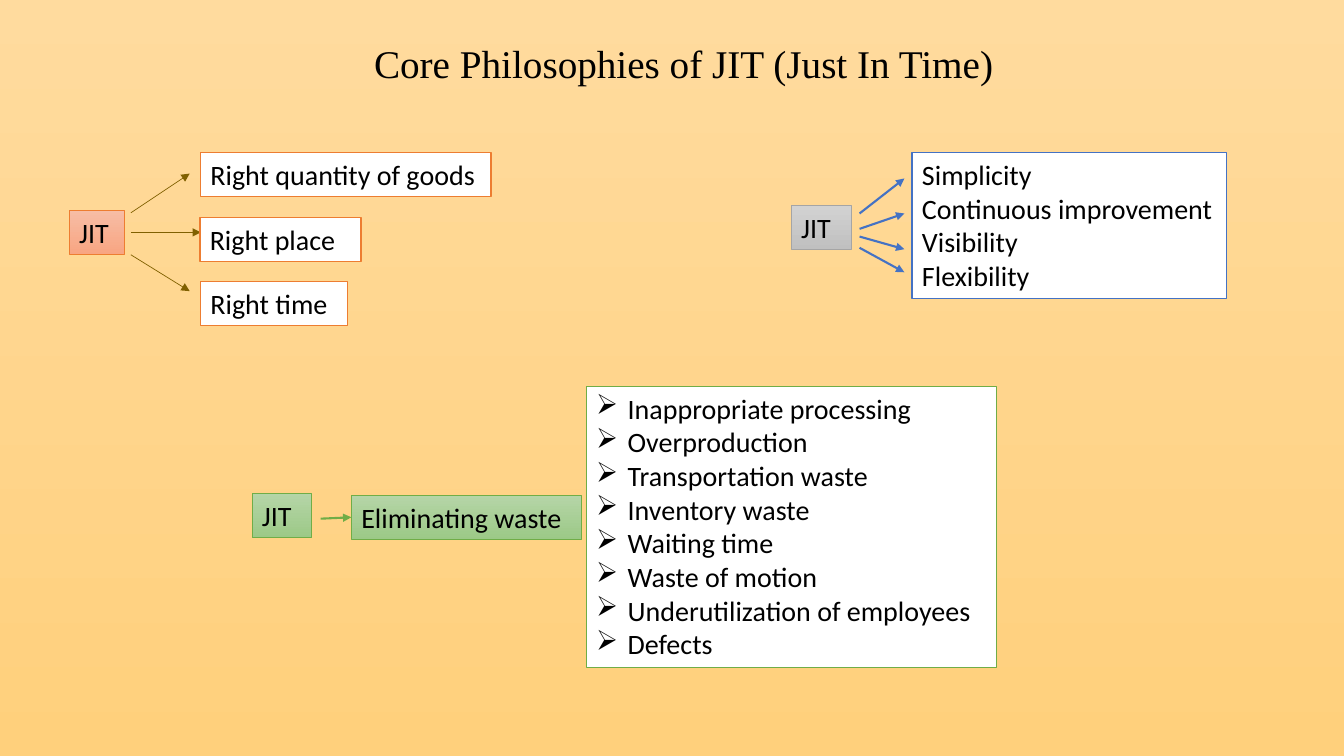
from pptx import Presentation
from pptx.dml.color import RGBColor
from pptx.enum.shapes import MSO_CONNECTOR
from pptx.enum.text import MSO_ANCHOR, PP_ALIGN
from pptx.oxml.ns import qn
from pptx.util import Pt
from lxml import etree

STRAIGHT = MSO_CONNECTOR.STRAIGHT
BOTTOM = MSO_ANCHOR.BOTTOM
CENTER = PP_ALIGN.CENTER

BLACK = RGBColor(0x00, 0x00, 0x00)
WHITE = RGBColor(0xFF, 0xFF, 0xFF)
ORANGE = RGBColor(0xED, 0x7D, 0x31)
BROWN = RGBColor(0x80, 0x60, 0x00)
GREEN = RGBColor(0x70, 0xAD, 0x47)
GRAY = RGBColor(0xA5, 0xA5, 0xA5)
BLUE = RGBColor(0x44, 0x72, 0xC4)
SAND_FADE = (RGBColor(0xFF, 0xDB, 0x9E), RGBColor(0xFF, 0xD0, 0x7C))
ORANGE_FADE = (RGBColor(0xF7, 0xBD, 0xA5), RGBColor(0xF8, 0xA5, 0x82))
GREEN_FADE = (RGBColor(0xB5, 0xD5, 0xA7), RGBColor(0x9C, 0xC9, 0x87))
GRAY_FADE = (RGBColor(0xD2, 0xD2, 0xD2), RGBColor(0xC0, 0xC0, 0xC0))

ROW_HEIGHT = 31.5
BULLET_INDENT = 22.5
WASTES = (
    "Inappropriate processing",
    "Overproduction",
    "Transportation waste",
    "Inventory waste",
    "Waiting time",
    "Waste of motion",
    "Underutilization of employees",
    "Defects",
)
VALUES = ("Simplicity", "Continuous improvement", "Visibility", "Flexibility")


def fade(fill, colors):
    """Fill with a gradient running from top to bottom."""
    fill.gradient()
    fill.gradient_angle = 270
    for stop, color in zip(fill.gradient_stops, colors):
        stop.color.rgb = color


def add_text(slide, left, top, width, height, lines, font="Calibri", size=20):
    """Add a text box with one paragraph per line."""
    box = slide.shapes.add_textbox(Pt(left), Pt(top), Pt(width), Pt(height))
    box.text_frame.word_wrap = True
    box.text_frame.text = "\n".join(lines)
    for para in box.text_frame.paragraphs:
        for span in para.runs:
            span.font.name = font
            span.font.size = Pt(size)
            span.font.color.rgb = BLACK
    return box


def add_title(slide, text):
    """Add the centred slide title."""
    box = add_text(slide, 163.5, 14.5, 649.5, 51, [text], "Times New Roman", 28)
    box.text_frame.vertical_anchor = BOTTOM
    para = box.text_frame.paragraphs[0]
    para.alignment = CENTER
    para.line_spacing = 0.9


def add_list_box(slide, left, top, width, height, lines, border):
    """Add a white outlined box of text lines."""
    box = add_text(slide, left, top, width, height, lines)
    box.fill.solid()
    box.fill.fore_color.rgb = WHITE
    box.line.color.rgb = border
    box.line.width = Pt(1)
    return box


def add_label(slide, left, top, width, text, colors, border):
    """Add a shaded one-line label."""
    box = add_text(slide, left, top, width, ROW_HEIGHT, [text])
    fade(box.fill, colors)
    box.line.color.rgb = border
    box.line.width = Pt(0.5)
    return box


def add_bullets(box):
    """Give every paragraph of a box an arrowhead bullet."""
    for para in box.text_frame.paragraphs:
        properties = para._p.get_or_add_pPr()
        properties.set("marL", str(Pt(BULLET_INDENT)))
        properties.set("indent", str(-Pt(BULLET_INDENT)))
        bullet = etree.SubElement(properties, qn("a:buChar"))
        bullet.set("char", "➢")


def add_arrow(slide, start, end, color, width):
    """Add a straight arrow between two points."""
    arrow = slide.shapes.add_connector(STRAIGHT, *map(Pt, start + end))
    arrow.line.color.rgb = color
    arrow.line.width = Pt(width)
    properties = arrow._element.spPr
    head = etree.SubElement(properties.find(qn("a:ln")), qn("a:tailEnd"))
    head.set("type", "triangle")
    etree.SubElement(properties, qn("a:effectLst"))
    return arrow


def add_right_things(slide):
    """Draw JIT pointing at the three right things."""
    add_label(slide, 49.5, 150.25, 39.5, "JIT", ORANGE_FADE, ORANGE)
    for start_y, end_x, end_y in ((152, 135.5, 124), (166, 143.5, 166), (182, 135.5, 208)):
        add_arrow(slide, (93.5, start_y), (end_x, end_y), BROWN, 0.5)
    goals = (
        ("Right quantity of goods", 143.25, 109, 207.5),
        ("Right place", 142.75, 155.5, 115),
        ("Right time", 143.25, 201, 105),
    )
    for text, left, top, width in goals:
        add_list_box(slide, left, top, width, ROW_HEIGHT, [text], ORANGE)


def add_values(slide):
    """Draw JIT pointing at its four values."""
    add_label(slide, 565.25, 146.75, 42.75, "JIT", GRAY_FADE, GRAY)
    for start_y, end_y in ((152.5, 127.5), (163.5, 152.5), (169, 178), (177, 194.5)):
        add_arrow(slide, (614, start_y), (646, end_y), BLUE, 1.5)
    add_list_box(slide, 651.5, 109, 224.5, 104.25, VALUES, BLUE)


def add_waste(slide):
    """Draw JIT leading to the wastes it eliminates."""
    add_label(slide, 180, 352.5, 42.75, "JIT", GREEN_FADE, GREEN)
    target = add_label(slide, 251, 353.75, 164.25, "Eliminating waste", GREEN_FADE, GREEN)
    arrow = add_arrow(slide, (229, 370.5), (251, 369.5), GREEN, 1.5)
    arrow.end_connect(target, 1)
    add_bullets(add_list_box(slide, 418.75, 276, 293, 200.75, WASTES, GREEN))


def main():
    """Build and save the deck."""
    deck = Presentation()
    deck.slide_width, deck.slide_height = Pt(960), Pt(540)
    page = deck.slides.add_slide(deck.slide_layouts[6])
    fade(page.background.fill, SAND_FADE)
    add_title(page, "Core Philosophies of JIT (Just In Time)")
    add_right_things(page)
    add_waste(page)
    add_values(page)
    deck.save("out.pptx")


if __name__ == "__main__":
    main()
